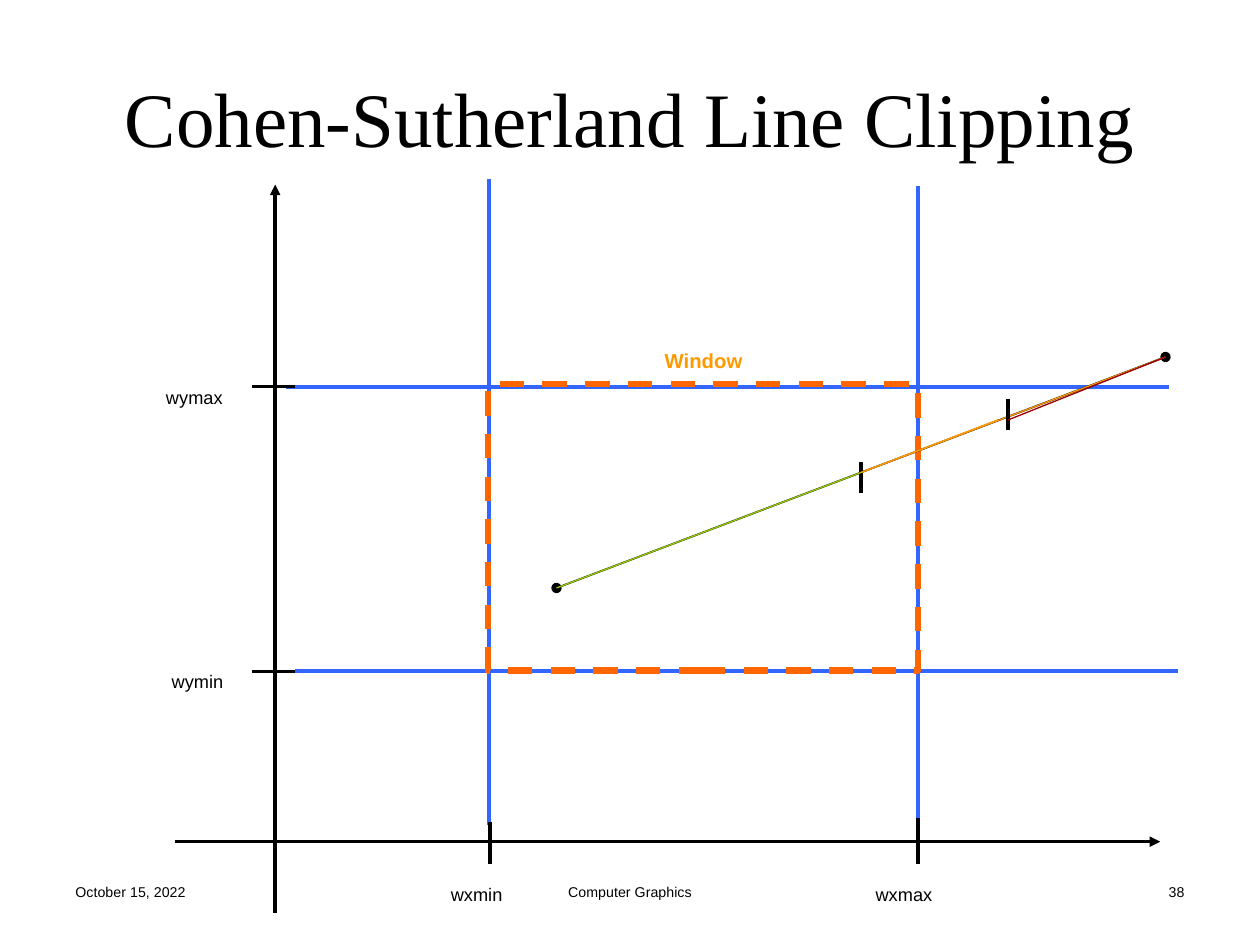
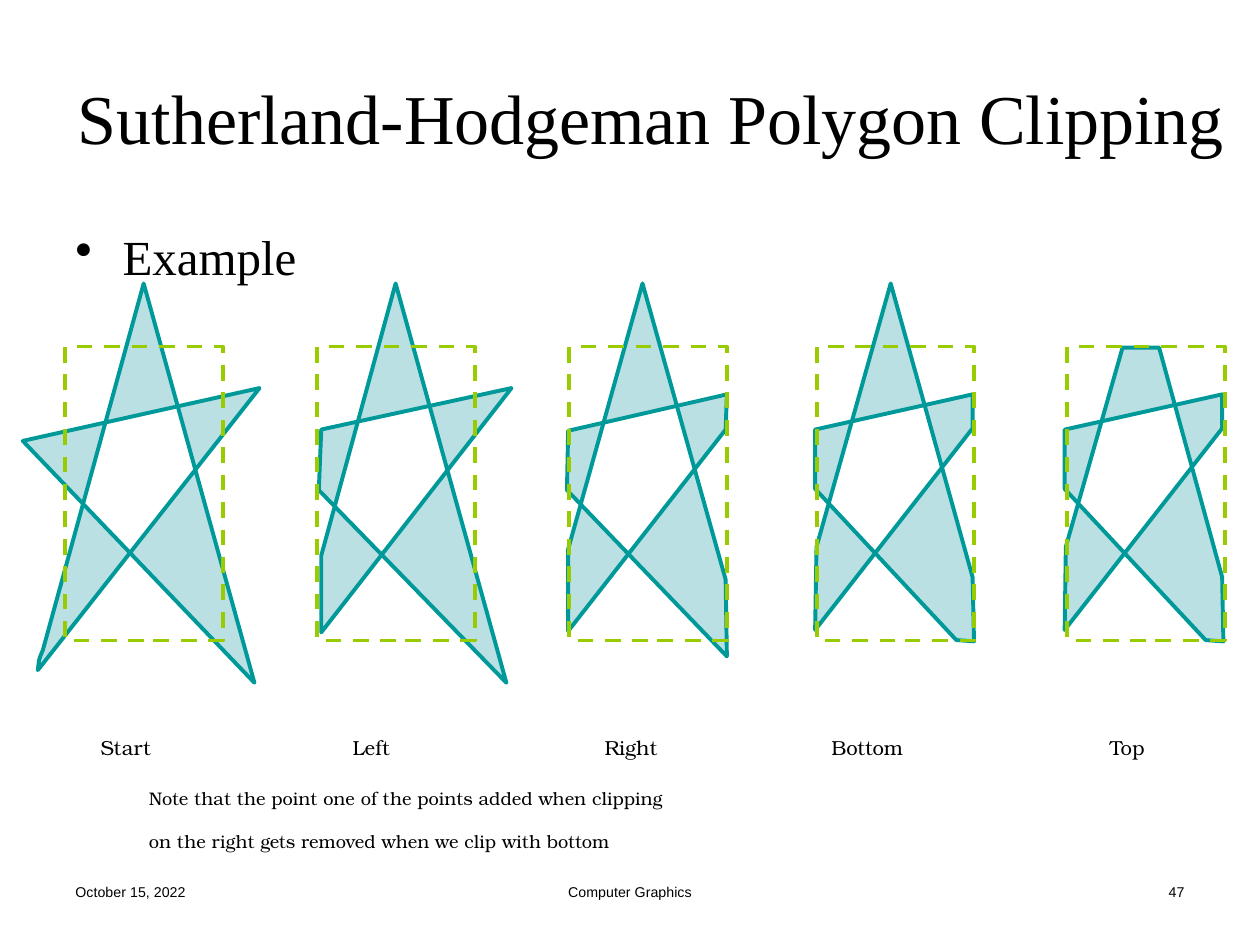
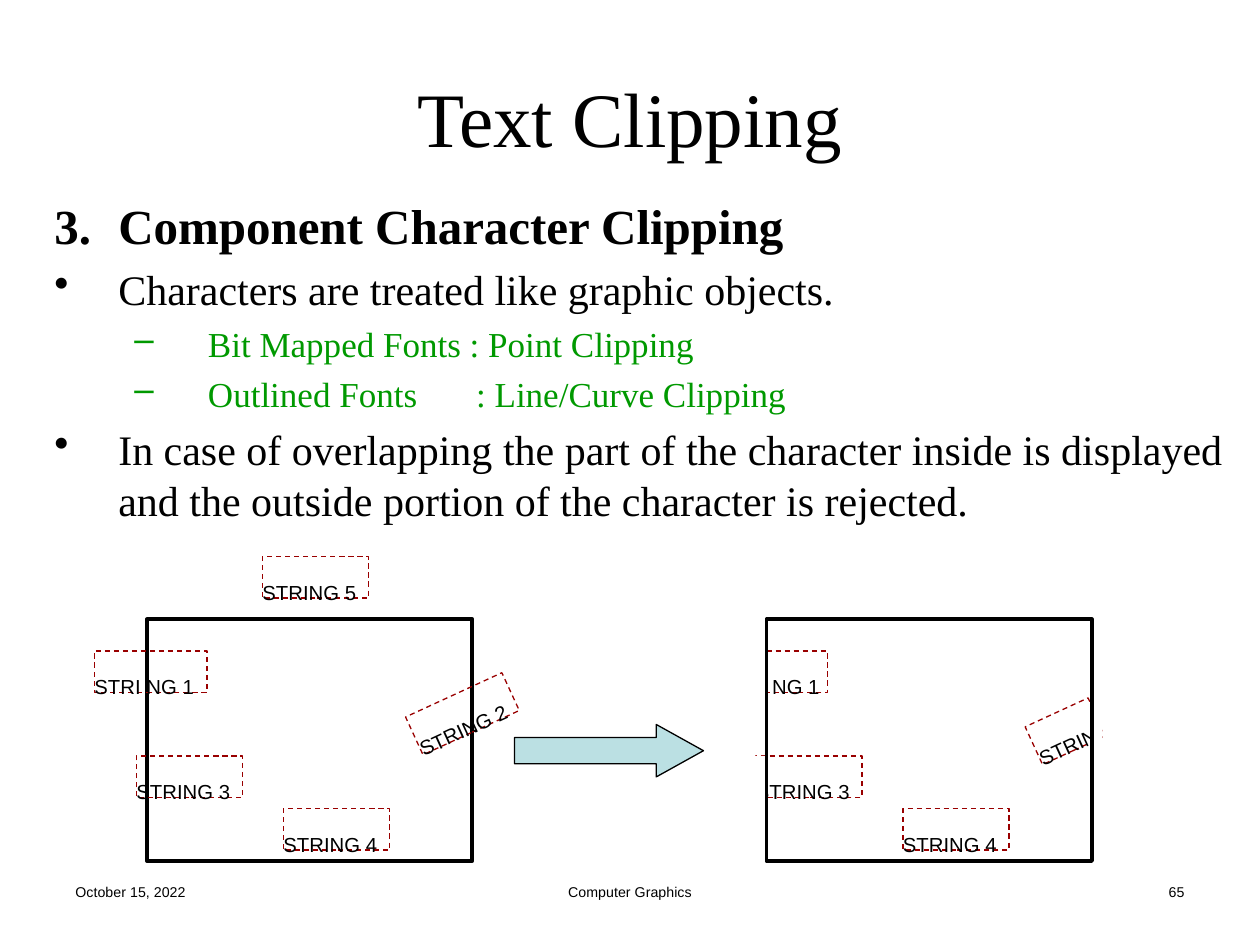
"""Build three slides on line, polygon and text clipping."""
from dataclasses import dataclass

from lxml import etree
from pptx import Presentation
from pptx import util as u
from pptx.dml.color import RGBColor
from pptx.enum import dml, shapes, text
from pptx.oxml.ns import qn


@dataclass(frozen=True)
class Theme:
    serif: str = "Times New Roman"
    sans: str = "Arial"
    book: str = "TeX Gyre Bonum"
    black: str = "000000"
    white: str = "FFFFFF"
    blue: str = "3366FF"
    orange: str = "FF6600"
    amber: str = "FF9900"
    lime: str = "99CC00"
    green: str = "009900"
    teal: str = "009999"
    pale: str = "BBE0E3"
    red: str = "990000"
    title: int = 44
    long_title: int = 40
    heading: int = 28
    body: int = 24
    label: int = 20
    small: int = 18
    footer: int = 14


T = Theme()
LEFT, CENTER, RIGHT = text.PP_ALIGN.LEFT, text.PP_ALIGN.CENTER, text.PP_ALIGN.RIGHT
RECT = shapes.MSO_SHAPE.RECTANGLE


def write(sp, words, size, face=T.sans, color=T.black, align=LEFT, bold=False, lowered=True):
    """Put text in a shape and format its runs."""
    tf = sp.text_frame
    tf.text = words
    tf.word_wrap = True
    tf.auto_size = text.MSO_AUTO_SIZE.NONE
    for p in tf.paragraphs:
        p.alignment = align
        for r in p.runs:
            r.font.size = u.Pt(size)
            r.font.name = face
            r.font.bold = bold
            r.font.color.rgb = RGBColor.from_string(color)
            if lowered:
                r._r.get_or_add_rPr().set("baseline", "-25000")


def paint(sp, line=None, width=0.75, fill=None, dashed=False):
    """Set the outline and fill of a shape."""
    sp.shadow.inherit = False
    if fill:
        sp.fill.solid()
        sp.fill.fore_color.rgb = RGBColor.from_string(fill)
    else:
        sp.fill.background()
    if line:
        sp.line.color.rgb = RGBColor.from_string(line)
        sp.line.width = u.Pt(width)
        if dashed:
            sp.line.dash_style = dml.MSO_LINE.DASH
    else:
        sp.line.fill.background()


prs = Presentation()
prs.slide_width, prs.slide_height = u.Pt(720), u.Pt(540)

titles = [
    ("Cohen-Sutherland Line Clipping", T.title, 648, "38"),
    ("Sutherland-Hodgeman Polygon Clipping", T.long_title, 672, "47"),
    ("Text Clipping", T.title, 648, "65"),
]
for title, size, width, number in titles:
    s = prs.slides.add_slide(prs.slide_layouts[5])
    sp = s.shapes.title
    sp.left, sp.top, sp.width, sp.height = u.Pt(36), u.Pt(21.6), u.Pt(width), u.Pt(90)
    write(sp, title, size, T.serif, align=CENTER, lowered=False)
    sp.text_frame.vertical_anchor = text.MSO_ANCHOR.MIDDLE
    footers = [
        ("October 15, 2022", 36, 168, LEFT),
        ("Computer Graphics", 246, 228, CENTER),
        (number, 516, 168, RIGHT),
    ]
    for words, left, width, align in footers:
        sp = s.shapes.add_textbox(u.Pt(left), u.Pt(492), u.Pt(width), u.Pt(37.5))
        write(sp, words, T.footer, align=align)

lines_slide, polygon_slide, text_slide = prs.slides

bodies = [
    (polygon_slide, (36, 126, 648, 356), [
        ("Example", T.heading, T.black, "•", 27, 27),
    ]),
    (text_slide, (24, 108, 696, 356), [
        ("3.\tComponent Character Clipping", T.heading, T.black, None, 36.5, 36.5),
        ("Characters are treated like graphic objects.", T.body, T.black, "•", 36.5, 36.5),
        ("Bit Mapped Fonts : Point Clipping", T.label, T.green, "–", 87.75, 42),
        ("Outlined Fonts\t: Line/Curve Clipping", T.label, T.green, "–", 87.75, 42),
        ("In case of overlapping the part of the character inside is displayed "
         "and the outside portion of the character is rejected.",
         T.body, T.black, "•", 36.5, 36.5),
    ]),
]
for s, box, items in bodies:
    sp = s.shapes.add_textbox(*map(u.Pt, box))
    write(sp, "\n".join(item[0] for item in items), T.body, T.serif, lowered=False)
    for p, (words, size, color, bullet, margin, hanging) in zip(sp.text_frame.paragraphs, items):
        p.space_before = u.Pt(round(size * 0.23, 1))
        p.level = 1 if bullet == "–" else 0
        for r in p.runs:
            r.font.size = u.Pt(size)
            r.font.color.rgb = RGBColor.from_string(color)
            r.font.bold = bullet is None
        pPr = p._p.get_or_add_pPr()
        pPr.set("marL", str(u.Pt(margin)))
        pPr.set("indent", str(-u.Pt(hanging)))
        if bullet:
            etree.SubElement(pPr, qn("a:buChar"), char=bullet)
        if bullet and "\t" in words:
            tabs = etree.SubElement(pPr, qn("a:tabLst"))
            etree.SubElement(tabs, qn("a:tab"), pos=str(u.Pt(241)), algn="l")

s = lines_slide
sp = s.shapes.add_shape(RECT, u.Pt(279), u.Pt(219.6), u.Pt(245.5), u.Pt(163.6))
paint(sp, T.orange, 3.5, dashed=True)
window = sp

lines = [
    (279.5, 102.5, 279.5, 471.5, T.blue, 2, None, None),
    (524.5, 106.5, 524.5, 476, T.blue, 2, None, None),
    (668, 221.3, 163.5, 221.3, T.blue, 2, None, None),
    (673, 383.5, 168.5, 383.5, T.blue, 2, None, None),
    (100, 481, 663, 481, T.black, 2, None, "triangle"),
    (157.25, 521.5, 157.25, 105.5, T.black, 2, None, "triangle"),
    (168.5, 220.9, 144, 220.9, T.black, 2, None, None),
    (168.5, 383.8, 144, 383.8, T.black, 2, None, None),
    (279.9, 469.5, 279.9, 494, T.black, 2, None, None),
    (524.5, 467.5, 524.5, 494, T.black, 2, None, None),
    (318, 336, 666, 204, T.black, 1, "oval", "oval"),
    (492, 264, 492, 282, T.black, 2.25, None, None),
    (318, 336, 492, 270, T.lime, 0.75, None, None),
    (492, 270, 666, 204, T.amber, 0.75, None, None),
    (576, 228, 576, 246, T.black, 2.25, None, None),
    (576, 240, 666, 204, T.red, 0.75, None, None),
    (492, 270, 570, 240, T.amber, 0.75, None, None),
]
for x1, y1, x2, y2, color, width, head, tail in lines:
    sp = s.shapes.add_connector(shapes.MSO_CONNECTOR.STRAIGHT, *map(u.Pt, (x1, y1, x2, y2)))
    sp.line.color.rgb = RGBColor.from_string(color)
    sp.line.width = u.Pt(width)
    spPr = sp._element.spPr
    for tag, kind in (("a:headEnd", head), ("a:tailEnd", tail)):
        if kind:
            etree.SubElement(spPr.find(qn("a:ln")), qn(tag), type=kind)
    etree.SubElement(spPr, qn("a:effectLst"))
    if (x1, color) == (157.25, T.black):
        sp._element.addnext(window._element)

axis_labels = [
    ("wymax", 87.75, 205.2), ("wymin", 91, 367.2),
    ("wxmin", 250.5, 489), ("wxmax", 493.25, 489),
]
for words, left, top in axis_labels:
    sp = s.shapes.add_textbox(u.Pt(left), u.Pt(top), u.Pt(59), u.Pt(29))
    write(sp, words, T.small)
sp = s.shapes.add_textbox(u.Pt(356.4), u.Pt(182.2), u.Pt(91.4), u.Pt(31))
write(sp, "Window", T.label, color=T.amber, align=CENTER, bold=True)

s = polygon_slide
stages = [
    ("Start", 50.4, 37.4, [
        (21.6, 383), (22.3, 377.3), (23, 375.1), (24.5, 371.5), (82.1, 162),
        (145.4, 390.2), (13, 252), (148.3, 221.8)]),
    ("Left", 194.4, 181.4, [
        (183.6, 317.5), (226.1, 162), (289.4, 390.2), (182.2, 280.1),
        (183.6, 245.5), (292.3, 221.8), (183.6, 361.4)]),
    ("Right", 338.4, 325.4, [
        (324.7, 313.9), (367.2, 162), (414.7, 331.2), (415.4, 375.1), (324, 280.1),
        (324.7, 246.2), (415.4, 225.4), (414.7, 245.5), (324.7, 360.7)]),
    ("Bottom", 468, 466.6, [
        (466.6, 312.5), (509, 162), (555.8, 329.8), (556.6, 366.5), (546.5, 365.8),
        (465.8, 279.4), (465.8, 245.5), (555.8, 225.4), (555.8, 244.8), (465.8, 360)]),
    ("Top", 627.1, 609.9, [
        (609.1, 312.5), (641.5, 198.7), (662.4, 198.7), (698.4, 329.8), (699.1, 366.5),
        (689, 365.8), (608.4, 279.4), (608.4, 245.5), (698.4, 225.4), (698.4, 244.8),
        (608.4, 360)]),
]
for label, label_left, frame_left, corners in stages:
    tenths = [(x * 10, y * 10) for x, y in corners]
    star = s.shapes.build_freeform(*tenths[0], scale=u.Pt(0.1))
    star.add_line_segments(tenths[1:], close=True)
    paint(star.convert_to_shape(), T.teal, 2.25, T.pale)
    sp = s.shapes.add_shape(RECT, u.Pt(frame_left), u.Pt(198), u.Pt(90), u.Pt(168))
    paint(sp, T.lime, 2.25, dashed=True)
    sp = s.shapes.add_textbox(u.Pt(label_left), u.Pt(403.2), u.Pt(86), u.Pt(31))
    write(sp, label, T.label, T.book)
sp = s.shapes.add_textbox(u.Pt(78), u.Pt(434), u.Pt(527), u.Pt(50.4))
write(sp, "Note that the point one of the points added when clipping\n"
          "on the right gets removed when we clip with bottom", T.small, T.book)

s = text_slide
strings = [
    ("STRI NG 1", 54, 372, 64.4, 0),
    ("STRING 2", 234, 396, 60.6, 335.3),
    ("STRING 3", 78, 432, 60.6, 0),
    ("STRING 4", 162, 462, 60.6, 0),
    ("STRING 5", 150, 318, 60.6, 0),
    (" NG 1", 438, 372, 34.8, 0),
    ("STRING 4", 516, 462, 60.6, 0),
    ("STRIN", 589, 406, 39.6, 335.3),
    ("STRING 3", 432, 432, 60.6, 0),
]
sp = s.shapes.add_shape(RECT, u.Pt(84), u.Pt(354), u.Pt(186), u.Pt(138))
paint(sp, T.black, 2.25)
for words, left, top, width, angle in strings:
    sp = s.shapes.add_shape(RECT, u.Pt(left), u.Pt(top), u.Pt(width), u.Pt(23.8))
    paint(sp, T.red, dashed=True)
    sp.rotation = angle
    write(sp, words, T.label)
    tf = sp.text_frame
    tf.vertical_anchor = text.MSO_ANCHOR.TOP
    tf.margin_left = tf.margin_top = tf.margin_right = 0
    tf.margin_bottom = u.Pt(7.2)

sp = s.shapes.add_shape(shapes.MSO_SHAPE.RIGHT_ARROW, u.Pt(294), u.Pt(414), u.Pt(108), u.Pt(30))
sp.adjustments[0], sp.adjustments[1] = 0.5, 0.9
paint(sp, T.black, fill=T.pale)

for mask in [(624, 396, 6, 30), (630, 414, 12, 18), (426, 432, 12, 36)]:
    sp = s.shapes.add_shape(RECT, *map(u.Pt, mask))
    paint(sp, fill=T.white)
sp = s.shapes.add_shape(RECT, u.Pt(438), u.Pt(354), u.Pt(186), u.Pt(138))
paint(sp, T.black, 2.25)

prs.save("out.pptx")
